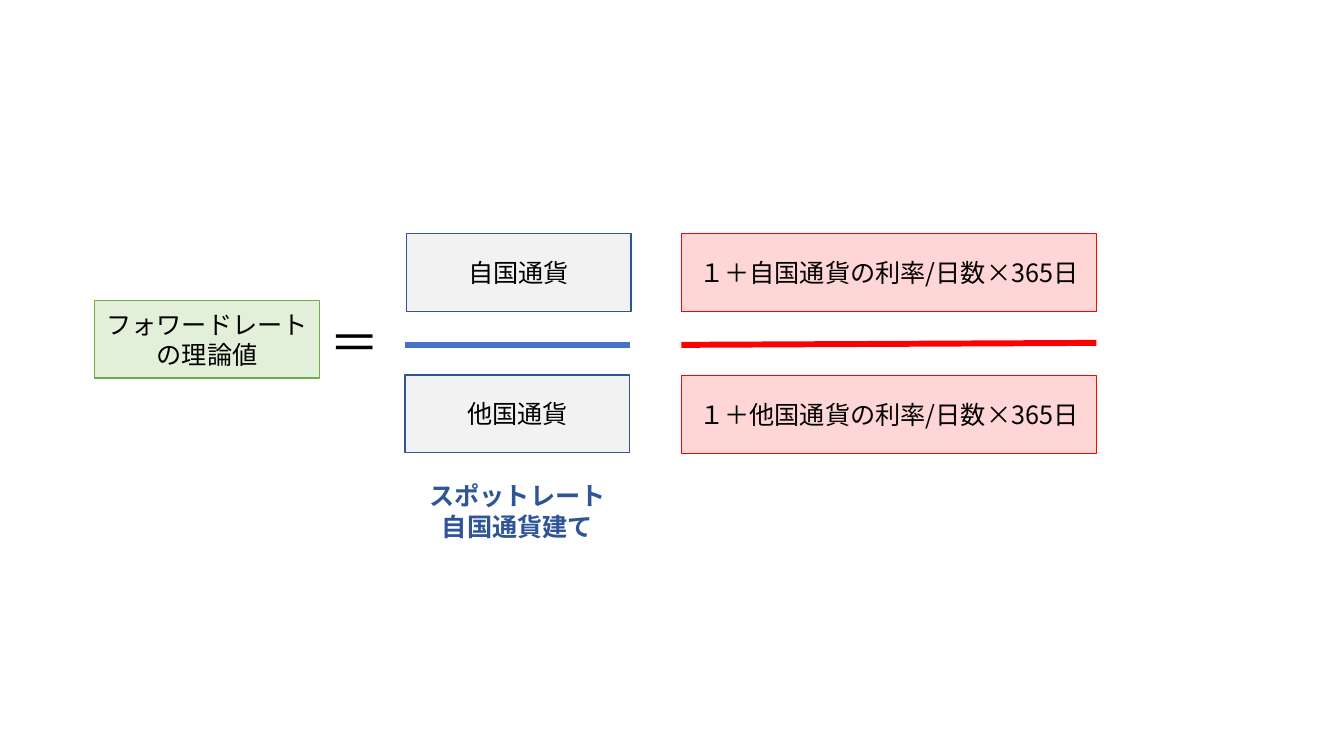
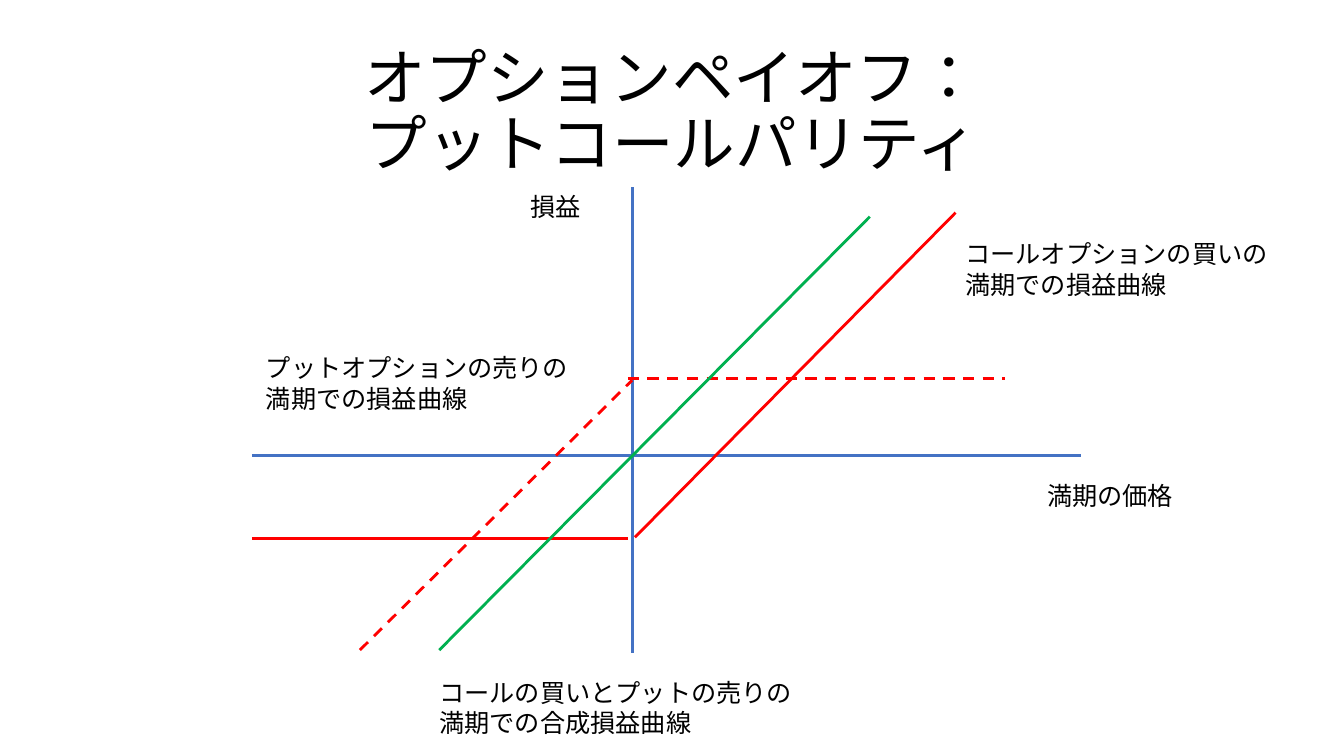
from lxml import etree
from pptx import Presentation
from pptx import util as u
from pptx.dml.color import RGBColor
from pptx.enum import dml, shapes, text
from pptx.oxml.ns import qn

FONT = "Noto Sans CJK JP"
COLORS = {
    "text": "000000", "axis": "4472C4", "heading": "2F5597", "red": "FF0000",
    "green": "00B050", "spot_fill": "F2F2F2", "spot_line": "325491",
    "forward_fill": "E2F0D9", "forward_line": "70AD47",
}
TITLE = ["オプションペイオフ：", "プットコールパリティ"]
BOX_H = 1.96
BOX_STYLES = {
    "forward": ("forward_fill", "forward_line", None),
    "spot": ("spot_fill", "spot_line", None),
    "rate": ("red", "red", 16),
}
BOXES = [
    ("フォワードレートの理論値", "forward", 2.39, 7.57, 5.66),
    ("自国通貨", "spot", 10.24, 5.89, 5.66),
    ("他国通貨", "spot", 10.21, 9.45, 5.66),
    ("１＋自国通貨の利率/日数×365日", "rate", 17.17, 5.89, 10.46),
    ("１＋他国通貨の利率/日数×365日", "rate", 17.17, 9.47, 10.46),
]
FRACTION_BARS = [
    ((17.17, 8.69), (27.63, 8.64), "red", False),
    ((10.21, 8.69), (15.87, 8.69), "axis", False),
]
FORMULA_LABELS = [
    (["＝"], (8.05, 7.72, 1.8, 1.8), {"size": 36}),
    (["スポットレート", "自国通貨建て"], (10.54, 11.99, 5, 1.8),
     {"color": "heading", "bold": True, "align": text.PP_ALIGN.CENTER}),
]
PAYOFF_LINES = [
    ((6.35, 11.48), (27.25, 11.48), "axis", False),
    ((15.93, 4.72), (15.93, 16.46), "axis", False),
    ((6.35, 13.56), (15.82, 13.56), "red", False),
    ((24.08, 5.36), (16, 13.54), "red", False),
    ((15.82, 9.53), (25.32, 9.53), "red", True),
    ((9.07, 16.38), (15.93, 9.58), "red", True),
    ((21.92, 5.46), (11.07, 16.38), "green", False),
]
PAYOFF_LABELS = [
    (["プットオプションの売りの", "満期での損益曲線"], (6.45, 8.76, 8.2, 1.8), {}),
    (["損益"], (13.11, 4.7, 1.8, 1.02), {}),
    (["満期の価格"], (26.14, 11.99, 3.71, 1.02), {}),
    (["コールオプションの買いの", "満期での損益曲線"], (24.08, 5.89, 8.2, 1.8), {}),
    (["コールの買いとプットの売りの", "満期での合成損益曲線"], (10.82, 16.94, 9.5, 1.8), {}),
]


def rgb(name):
    return RGBColor.from_string(COLORS[name])


def add_run(p, words, size=18, color="text", bold=False):
    r = p.add_run()
    r.text = words
    r.font.name = FONT
    r.font.size = u.Pt(size)
    r.font.bold = bold
    r.font.color.rgb = rgb(color)
    rpr = r.font._element
    rpr.set("lang", "ja-JP")
    etree.SubElement(rpr, qn("a:ea")).set("typeface", FONT)


def add_box(slide, words, style, left, top, width):
    fill, line, alpha = BOX_STYLES[style]
    sp = slide.shapes.add_shape(shapes.MSO_SHAPE.RECTANGLE,
                                u.Cm(left), u.Cm(top), u.Cm(width), u.Cm(BOX_H))
    sp.shadow.inherit = False
    sp.fill.solid()
    sp.fill.fore_color.rgb = rgb(fill)
    if alpha:
        clr = sp._element.spPr.find(qn("a:solidFill")).find(qn("a:srgbClr"))
        etree.SubElement(clr, qn("a:alpha")).set("val", str(alpha * 1000))
    sp.line.color.rgb = rgb(line)
    sp.line.width = u.Pt(1)
    tf = sp.text_frame
    tf.word_wrap = True
    tf.vertical_anchor = text.MSO_ANCHOR.MIDDLE
    p = tf.paragraphs[0]
    p.alignment = text.PP_ALIGN.CENTER
    add_run(p, words)


def add_label(slide, lines, place, align=text.PP_ALIGN.LEFT, **style):
    tf = slide.shapes.add_textbox(*map(u.Cm, place)).text_frame
    tf.word_wrap = False
    tf.auto_size = text.MSO_AUTO_SIZE.SHAPE_TO_FIT_TEXT
    for i, words in enumerate(lines):
        p = tf.add_paragraph() if i else tf.paragraphs[0]
        p.alignment = align
        add_run(p, words, **style)


def add_line(slide, start, end, color, dashed, width):
    ln = slide.shapes.add_connector(shapes.MSO_CONNECTOR.STRAIGHT,
                                    *map(u.Cm, start + end))
    ln.line.color.rgb = rgb(color)
    ln.line.width = u.Pt(width)
    if dashed:
        ln.line.dash_style = dml.MSO_LINE.DASH
    etree.SubElement(ln._element.spPr, qn("a:effectLst"))


def set_title(slide, lines):
    sp = slide.shapes.title
    sp.left, sp.top, sp.width, sp.height = map(u.Cm, (2.34, 1.02, 29.21, 3.68))
    tf = sp.text_frame
    tf.auto_size = text.MSO_AUTO_SIZE.NONE
    tf.vertical_anchor = text.MSO_ANCHOR.MIDDLE
    p = tf.paragraphs[0]
    p.alignment = text.PP_ALIGN.CENTER
    p.line_spacing = 0.9
    for i, words in enumerate(lines):
        if i:
            p.add_line_break()
        add_run(p, words, size=44)


def add_diagram(slide, lines, width, labels):
    for line in lines:
        add_line(slide, *line, width)
    for words, place, style in labels:
        add_label(slide, words, place, **style)


def main():
    prs = Presentation()
    prs.slide_width, prs.slide_height = u.Cm(33.87), u.Cm(19.05)

    formula = prs.slides.add_slide(prs.slide_layouts[6])
    for box in BOXES:
        add_box(formula, *box)
    add_diagram(formula, FRACTION_BARS, 4.25, FORMULA_LABELS)

    payoff = prs.slides.add_slide(prs.slide_layouts[5])
    set_title(payoff, TITLE)
    add_diagram(payoff, PAYOFF_LINES, 2, PAYOFF_LABELS)

    prs.save("out.pptx")


if __name__ == "__main__":
    main()
